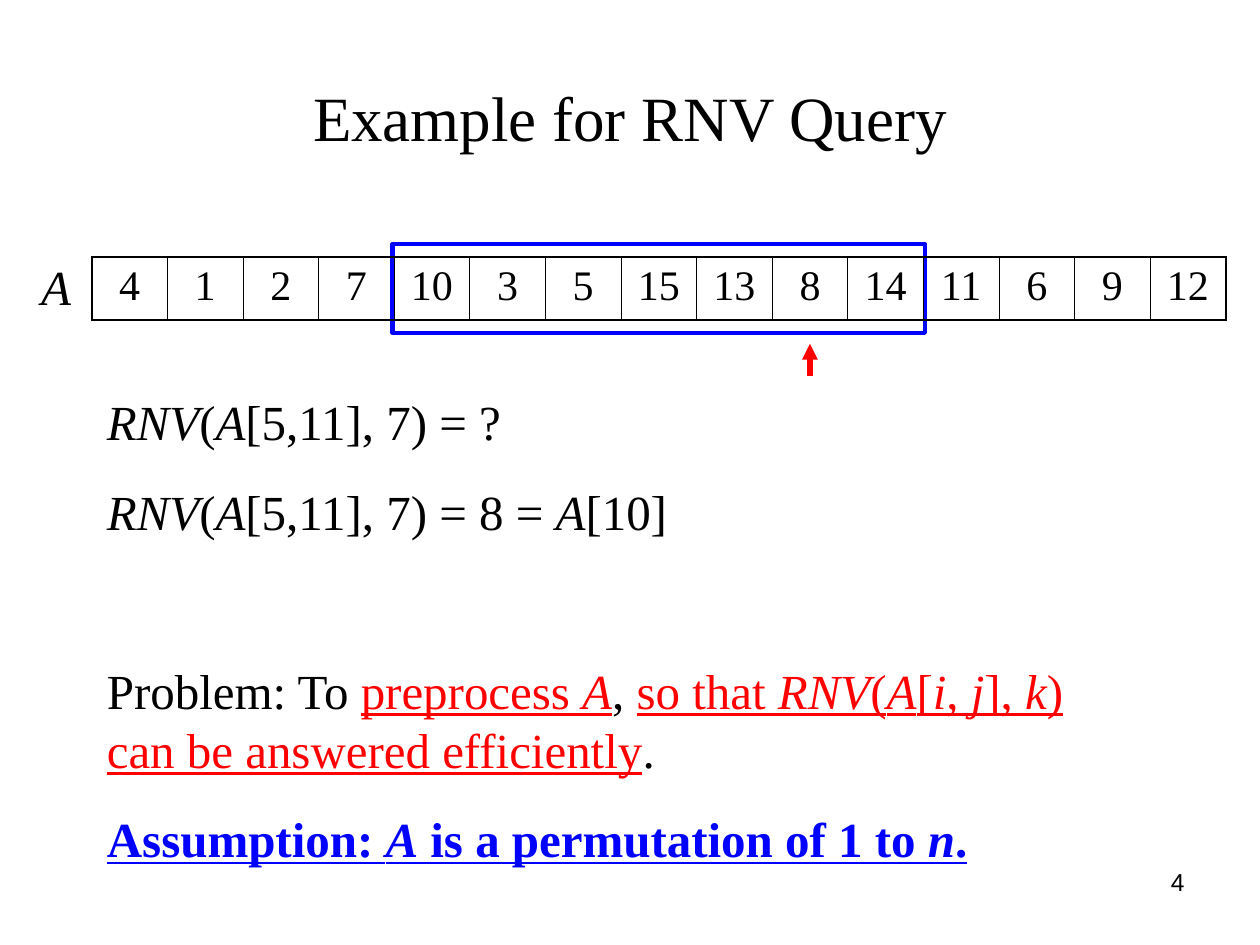
from dataclasses import dataclass

from lxml import etree
from pptx import Presentation
from pptx import util as u
from pptx.dml.color import RGBColor
from pptx.enum import shapes, text
from pptx.oxml import ns

TITLE = "Example for RNV Query"
ARRAY_NAME = "*A*"
ARRAY = [4, 1, 2, 7, 10, 3, 5, 15, 13, 8, 14, 11, 6, 9, 12]
QUERY = (5, 11)  # first and last position, counted from 1
ANSWER = 10
PAGE = "4"

# Each paragraph: (space before in points, [(style, text)]); *stars* mark italics.
BODY = [
    (0, [("plain", "*RNV*(*A*[5,11], 7) = ?")]),
    (17.5, [("plain", "*RNV*(*A*[5,11], 7) = 8 = *A*[10]")]),
    (68.7, [
        ("plain", "Problem: To "),
        ("key", "preprocess *A*"),
        ("plain", ", "),
        ("key", "so that *RNV*(*A*[*i*, *j*], *k*) can be answered efficiently"),
        ("plain", "."),
    ]),
    (17.5, [("assumption", "Assumption: *A* is a permutation of 1 to *n*.")]),
]


@dataclass(frozen=True)
class Theme:
    serif: str = "Times New Roman"
    sans: str = "Arial"
    black: str = "000000"
    red: str = "FF0000"
    blue: str = "0000FF"
    title: int = 36
    body: int = 28
    cell: int = 24
    page: int = 14


THEME = Theme()
STYLES = {  # colour, bold, underline
    "plain": (THEME.black, False, False),
    "key": (THEME.red, False, True),
    "assumption": (THEME.blue, True, True),
}

# Array grid, in centimetres
GRID_X, GRID_Y, CELL_W, CELL_H = 1.85, 5.18, 1.524, 1.27


def add_runs(p, marked, size, style="plain", font=THEME.serif):
    """Add text to p, with the parts between stars in italics."""
    color, bold, underline = STYLES[style]
    for i, part in enumerate(marked.split("*")):
        if not part:
            continue
        r = p.add_run()
        r.text = part
        f = r.font
        f.name, f.size = font, u.Pt(size)
        f.bold, f.italic, f.underline = bold, i % 2 == 1, underline
        f.color.rgb = RGBColor.from_string(color)


def place(sp, left, top, width, height):
    sp.left, sp.top, sp.width, sp.height = map(u.Cm, (left, top, width, height))


def add_label(slide, box, marked, size, font, align, wrap):
    sp = slide.shapes.add_textbox(*map(u.Cm, box))
    sp.text_frame.word_wrap = wrap
    p = sp.text_frame.paragraphs[0]
    p.alignment = align
    add_runs(p, marked, size, font=font)


def set_border(cell, side, width):
    ln = etree.SubElement(cell._tc.get_or_add_tcPr(), ns.qn(f"a:ln{side}"),
                          w=str(u.Pt(width)))
    fill = etree.SubElement(ln, ns.qn("a:solidFill"))
    etree.SubElement(fill, ns.qn("a:srgbClr"), val=THEME.black)


def add_title(slide):
    sp = slide.shapes.title
    place(sp, 1.27, 0.76, 22.86, 3.18)
    tf = sp.text_frame
    tf.auto_size = text.MSO_AUTO_SIZE.NONE
    tf.vertical_anchor = text.MSO_ANCHOR.MIDDLE
    p = tf.paragraphs[0]
    p.alignment = text.PP_ALIGN.CENTER
    add_runs(p, TITLE, THEME.title)


def add_body(slide):
    sp = slide.placeholders[1]
    place(sp, 1.9, 7.77, 21.2, 9.86)
    tf = sp.text_frame
    tf.auto_size = text.MSO_AUTO_SIZE.NONE
    for i, (before, parts) in enumerate(BODY):
        p = tf.add_paragraph() if i else tf.paragraphs[0]
        pPr = p._p.get_or_add_pPr()
        pPr.set("marL", "0")
        pPr.set("indent", "0")
        etree.SubElement(pPr, ns.qn("a:buNone"))
        p.space_before = u.Pt(before)
        for style, marked in parts:
            add_runs(p, marked, THEME.body, style)


def add_query_frame(slide):
    first, last = QUERY
    pad_x, pad_y = 0.03, 0.26
    sp = slide.shapes.add_shape(
        shapes.MSO_SHAPE.RECTANGLE,
        u.Cm(GRID_X + (first - 1) * CELL_W - pad_x), u.Cm(GRID_Y - pad_y),
        u.Cm((last - first + 1) * CELL_W + 2 * pad_x), u.Cm(CELL_H + 2 * pad_y))
    sp.shadow.inherit = False
    sp.fill.background()
    sp.line.color.rgb = RGBColor.from_string(THEME.blue)
    sp.line.width = u.Pt(2.5)


def add_array(slide):
    n = len(ARRAY)
    table = slide.shapes.add_table(
        1, n, u.Cm(GRID_X), u.Cm(GRID_Y), u.Cm(n * CELL_W), u.Cm(CELL_H)).table
    table.first_row = table.horz_banding = False
    for i, value in enumerate(ARRAY):
        table.columns[i].width = u.Cm(CELL_W)
        cell = table.cell(0, i)
        p = cell.text_frame.paragraphs[0]
        p.alignment = text.PP_ALIGN.CENTER
        add_runs(p, str(value), THEME.cell)
        outer, inner = 1.08, 0.45
        set_border(cell, "L", outer if i == 0 else inner)
        set_border(cell, "R", outer if i == n - 1 else inner)
        set_border(cell, "T", outer)
        set_border(cell, "B", outer)
        cell.fill.background()


def add_answer_arrow(slide):
    x = u.Cm(GRID_X + (ANSWER - 0.5) * CELL_W)
    line = slide.shapes.add_connector(
        shapes.MSO_CONNECTOR.STRAIGHT, x, u.Cm(7.57), x, u.Cm(6.93))
    line.line.color.rgb = RGBColor.from_string(THEME.red)
    line.line.width = u.Pt(3)
    etree.SubElement(line.line._get_or_add_ln(), ns.qn("a:tailEnd"), type="triangle")
    etree.SubElement(line._element.spPr, ns.qn("a:effectLst"))


def main():
    prs = Presentation()
    prs.slide_width, prs.slide_height = u.Cm(25.4), u.Cm(19.05)
    slide = prs.slides.add_slide(prs.slide_layouts[1])
    add_title(slide)
    add_body(slide)
    add_query_frame(slide)
    add_array(slide)
    add_label(slide, (0.58, 5.05, 1.12, 1.45), ARRAY_NAME, THEME.body,
              THEME.serif, text.PP_ALIGN.LEFT, False)
    add_answer_arrow(slide)
    add_label(slide, (18.21, 17.35, 5.92, 1.32), PAGE, THEME.page,
              THEME.sans, text.PP_ALIGN.RIGHT, True)
    prs.save("out.pptx")


if __name__ == "__main__":
    main()
